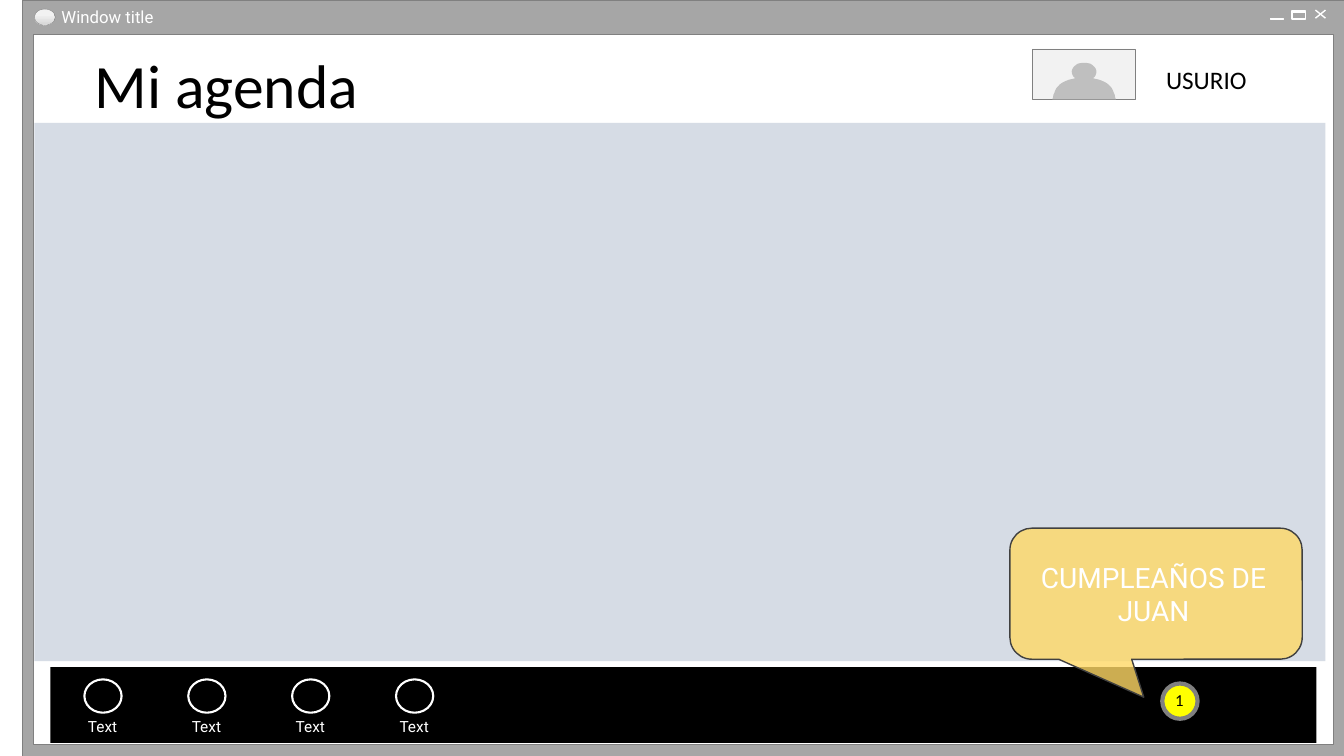
from copy import deepcopy
from lxml.etree import SubElement
from pptx import Presentation
from pptx.dml.color import RGBColor
from pptx.enum.shapes import MSO_CONNECTOR as Connector, MSO_SHAPE as Preset
from pptx.enum.text import MSO_ANCHOR as Anchor, PP_ALIGN as Align
from pptx.oxml.ns import qn
from pptx.util import Pt

WHITE, BLACK, EDGE = "FFFFFF", "000000", "808080"

# Left half of the avatar: distances from its axis and from its top, in points
AVATAR_START = (22.7, 26)
AVATAR_CURVES = [
    ((22, 24.5), (22, 23.8), (22, 23)),
    ((21, 21.6), (20.5, 18), (18.4, 16.6)),
    ((17, 14.4), (13.3, 13), (11.2, 12.2)),
    ((9, 11.5), (7.6, 11.5), (6.1, 10.8)),
    ((6.8, 10.8), (7.6, 10.1), (8.3, 8.6)),
    ((9, 6.5), (9, 5.8), (8.3, 4.3)),
    ((7.6, 2.9), (6.8, 2.2), (4.7, 0.7)),
    ((2.5, 0), (1, 0), (0, 0)),
]


def color(value):
    """Turn a hex string into a colour."""
    return RGBColor.from_string(value)


def paint(shape, fill=None, line=None, weight=0.25):
    """Set the fill and outline of a shape; None leaves either off."""
    shape.shadow.inherit = False
    if fill:
        shape.fill.solid()
        shape.fill.fore_color.rgb = color(fill)
    else:
        shape.fill.background()
    if line:
        shape.line.color.rgb = color(line)
        shape.line.width = Pt(weight)
    else:
        shape.line.fill.background()


def add_preset(page, preset, box, fill=None, line=None, weight=0.25):
    """Add a painted preset shape in a box given in points."""
    shape = page.shapes.add_shape(preset, *map(Pt, box))
    paint(shape, fill, line, weight)
    return shape


def write(shape, text, size, font, ink, align=Align.LEFT, wrap=True,
          anchor=Anchor.TOP, insets=(7.2, 3.6, 7.2, 3.6)):
    """Write one formatted paragraph into a shape."""
    frame = shape.text_frame
    frame.text = text
    frame.word_wrap = wrap
    frame.vertical_anchor = anchor
    (frame.margin_left, frame.margin_top,
     frame.margin_right, frame.margin_bottom) = map(Pt, insets)
    para = frame.paragraphs[0]
    para.alignment = align
    span = para.runs[0]
    span.font.size, span.font.name = Pt(size), font
    span.font.color.rgb = color(ink)


def add_label(page, box, *args, **kwargs):
    """Add a text box in a box given in points."""
    write(page.shapes.add_textbox(*map(Pt, box)), *args, **kwargs)


def add_line(page, start, end):
    """Add a thin white line between two points."""
    line = page.shapes.add_connector(Connector.STRAIGHT, *map(Pt, start + end))
    line.line.color.rgb = color(WHITE)
    line.line.width = Pt(1)
    SubElement(line._element.spPr, qn("a:effectLst"))


def draw_window_icon(page, box):
    """Draw the oval window icon with its three-stop gradient."""
    icon = add_preset(page, Preset.OVAL, box, line=EDGE)
    icon.fill.gradient()
    icon.fill.gradient_angle = 270
    stops = icon._element.spPr.find(".//" + qn("a:gsLst"))
    stops.append(deepcopy(stops[-1]))
    shades = [(0.36, "F2F2F2"), (0.91, "D9D9D9"), (1, "F2F2F2")]
    for stop, (position, shade) in zip(icon.fill.gradient_stops, shades):
        stop.position = position
        stop.color.rgb = color(shade)


def draw_window(page, box):
    """Draw the window frame, its title bar and its buttons."""
    left, top, width, height = box
    right = left + width
    add_preset(page, Preset.RECTANGLE, box, "A6A6A6", EDGE)
    add_preset(page, Preset.RECTANGLE,
               (left + 8, top + 24.5, width - 15.5, height - 33), WHITE, EDGE)
    add_label(page, (left + 24.3, top + 3.6, 103, 18), "Window title", 12,
              "Roboto", WHITE, wrap=False, anchor=Anchor.MIDDLE,
              insets=(3.6, 1.4, 7.2, 2.2))
    near, far, high, low = right - 20.4, right - 13.2, top + 7.2, top + 13
    add_line(page, (near, high), (far, low))
    add_line(page, (far, high), (near, low))
    add_preset(page, Preset.RECTANGLE, (right - 37, top + 7.9, 9.4, 5.8),
               line=WHITE, weight=1)
    for bar_left, bar_top in ((right - 37, top + 7.9), (right - 52.8, low)):
        add_preset(page, Preset.RECTANGLE, (bar_left, bar_top, 9.4, 0.7),
                   "919191", WHITE)
    draw_window_icon(page, (left + 8.5, top + 6.5, 15, 11.5))


def draw_taskbar(page, box, labels):
    """Draw the black bar with a row of labelled round buttons."""
    left, top, _, _ = box
    add_preset(page, Preset.RECTANGLE, box, BLACK)
    for index, label in enumerate(labels):
        item_left = left + 6.3 + 74.2 * index
        add_label(page, (item_left, top + 32.4, 62, 22.3), label, 11,
                  "Roboto", WHITE, align=Align.CENTER)
        add_preset(page, Preset.OVAL, (item_left + 18, top + 8.7, 26.6, 23.8),
                   line=WHITE, weight=1.5)


def avatar_half(steps=6):
    """Sample the cubic curves of the avatar's left half."""
    points = [AVATAR_START]
    for one, two, end in AVATAR_CURVES:
        start = points[-1]
        for step in range(1, steps + 1):
            t = step / steps
            u = 1 - t
            points.append(tuple(
                u**3 * a + 3 * u * u * t * b + 3 * u * t * t * c + t**3 * d
                for a, b, c, d in zip(start, one, two, end)))
    return points


def draw_user(page, box, name):
    """Draw the framed avatar with the user name to its right."""
    left, top, width, height = box
    add_preset(page, Preset.RECTANGLE, box, "F2F2F2", EDGE)
    axis, crown = left + width / 2 + 0.4, top + height - 26
    half = avatar_half()
    outline = [(axis - x, crown + y) for x, y in half]
    outline += [(axis + x, crown + y) for x, y in reversed(half[:-1])]
    points = [(Pt(x), Pt(y)) for x, y in outline]
    builder = page.shapes.build_freeform(*points[0])
    builder.add_line_segments(points[1:], close=True)
    paint(builder.convert_to_shape(), "BFBFBF")
    add_label(page, (left + 88.5, top + 7.2, 101.5, 28.8), name, 18,
              "Calibri", BLACK)


def draw_agenda(page, box, title):
    """Draw the agenda panel with its title above."""
    left, top, _, _ = box
    add_preset(page, Preset.RECTANGLE, box, "D6DCE5")
    add_label(page, (left + 36, top - 57.6, 380, 60.5), title, 44,
              "Calibri", BLACK)


def draw_reminder(page, box, text):
    """Draw the translucent speech bubble."""
    bubble = add_preset(page, Preset.ROUNDED_RECTANGULAR_CALLOUT, box,
                        "FFD966", "404040", 1)
    for index, value in enumerate((-0.042, 0.79, 0.167)):
        bubble.adjustments[index] = value
    tint = bubble._element.spPr.find(qn("a:solidFill"))[0]
    SubElement(tint, qn("a:alpha"), val="80000")
    write(bubble, text, 20, "Roboto", WHITE, align=Align.CENTER,
          anchor=Anchor.MIDDLE, insets=(3.6, 3.6, 7.2, 3.6))


def draw_badge(page, box, count):
    """Draw the round counter of pending reminders."""
    left, top, _, _ = box
    add_preset(page, Preset.OVAL, box, "FFFF00", EDGE, 3)
    add_label(page, (left + 2.1, top + 0.7, 20.9, 21.6), count, 12,
              "Calibri", BLACK, wrap=False)


def build():
    """Build the agenda screen and save it."""
    deck = Presentation()
    deck.slide_width, deck.slide_height = Pt(960), Pt(540)
    page = deck.slides.add_slide(deck.slide_layouts[6])
    draw_window(page, (16, 0, 944, 540))
    draw_taskbar(page, (36, 476.6, 904.3, 54), ["Text"] * 4)
    draw_user(page, (737.3, 34.9, 73.4, 36), "USURIO")
    draw_agenda(page, (24.5, 87.8, 922.3, 384.5), "Mi agenda")
    draw_reminder(page, (721.4, 377.3, 208.8, 93.6), "CUMPLEAÑOS DE JUAN")
    draw_badge(page, (830.2, 488.2, 25.2, 25.2), "1")
    deck.save("out.pptx")


build()
